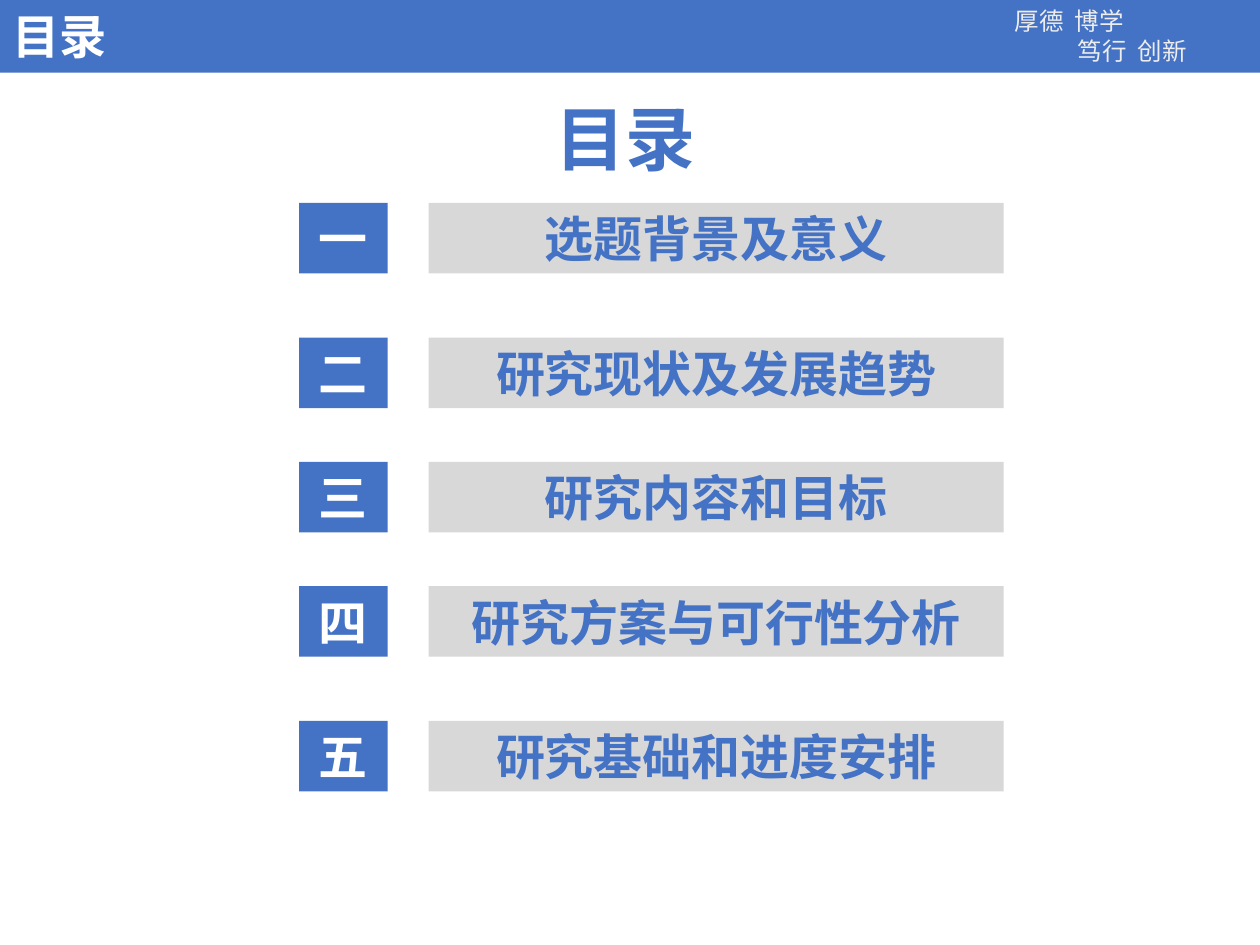
"""Build a contents slide with a header band and five numbered sections."""
from lxml import etree
from pptx import Presentation
from pptx.dml.color import RGBColor
from pptx.enum.shapes import MSO_SHAPE
from pptx.enum.text import MSO_ANCHOR, PP_ALIGN
from pptx.oxml.ns import qn
from pptx.util import Pt

RECTANGLE = MSO_SHAPE.RECTANGLE
MIDDLE = MSO_ANCHOR.MIDDLE
LEFT, CENTER = PP_ALIGN.LEFT, PP_ALIGN.CENTER

BLUE, GRAY, WHITE, PALE = "4472C4", "D8D8D8", "FFFFFF", "EDEDED"
BODY_FONT, SECTION_FONT = "Calibri", "Noto Sans CJK SC"

TITLE = "目录"
MOTTO = ["厚德  博学", "\t笃行  创新"]
SECTIONS = [
    ("一", "选题背景及意义", 116),
    ("二", "研究现状及发展趋势", 193),
    ("三", "研究内容和目标", 264),
    ("四", "研究方案与可行性分析", 335),
    ("五", "研究基础和进度安排", 412),
]
NUMBER_LEFT, NUMBER_WIDTH = 171, 50.5
NAME_LEFT, NAME_WIDTH = 245, 328.5
ROW_HEIGHT = 40.3
TAB_STOP = 36


def color(hex_value):
    return RGBColor.from_string(hex_value)


def add_tab_stop(paragraph, position):
    tab_list = etree.SubElement(paragraph._p.get_or_add_pPr(), qn("a:tabLst"))
    etree.SubElement(tab_list, qn("a:tab"), pos=str(Pt(position)), algn="l")


def write(shape, lines, *, size, fill, font=BODY_FONT, bold=True, align=LEFT):
    frame = shape.text_frame
    frame.word_wrap = True
    for index, line in enumerate(lines):
        paragraph = frame.add_paragraph() if index else frame.paragraphs[0]
        paragraph.alignment = align
        if line.startswith("\t"):
            add_tab_stop(paragraph, TAB_STOP)
        run = paragraph.add_run()
        run.text = line
        run.font.name = font
        run.font.size = Pt(size)
        run.font.bold = bold
        run.font.color.rgb = color(fill)
        etree.SubElement(run.font._element, qn("a:ea"), typeface=font)


def add_bar(slide, left, top, width, height, fill):
    shape = slide.shapes.add_shape(RECTANGLE, Pt(left), Pt(top), Pt(width), Pt(height))
    shape.shadow.inherit = False
    shape.fill.solid()
    shape.fill.fore_color.rgb = color(fill)
    shape.line.fill.background()
    shape.text_frame.vertical_anchor = MIDDLE
    return shape


def add_text(slide, left, top, width, height, lines, **text_format):
    box = slide.shapes.add_textbox(Pt(left), Pt(top), Pt(width), Pt(height))
    write(box, lines, **text_format)
    return box


def main():
    presentation = Presentation()
    presentation.slide_width, presentation.slide_height = Pt(720), Pt(540)
    slide = presentation.slides.add_slide(presentation.slide_layouts[6])

    add_bar(slide, 0, 0, 720, 41.5, BLUE)
    motto = add_text(slide, 574.5, 0.8, 136, 39.5, MOTTO, size=14, fill=PALE, bold=False)
    frame = motto.text_frame
    frame.margin_left = frame.margin_right = Pt(5.3)
    frame.margin_top = frame.margin_bottom = Pt(2.7)
    add_text(slide, 310.5, 51.3, 98.6, 55.7, [TITLE], size=40, fill=BLUE)
    add_text(slide, 0, 0.7, 71.3, 40, [TITLE], size=27, fill=WHITE)

    for number, name, top in SECTIONS:
        for text, left, width, fill, text_color in (
            (name, NAME_LEFT, NAME_WIDTH, GRAY, BLUE),
            (number, NUMBER_LEFT, NUMBER_WIDTH, BLUE, WHITE),
        ):
            bar = add_bar(slide, left, top, width, ROW_HEIGHT, fill)
            write(bar, [text], size=28, fill=text_color, font=SECTION_FONT, align=CENTER)

    presentation.save("out.pptx")


if __name__ == "__main__":
    main()
